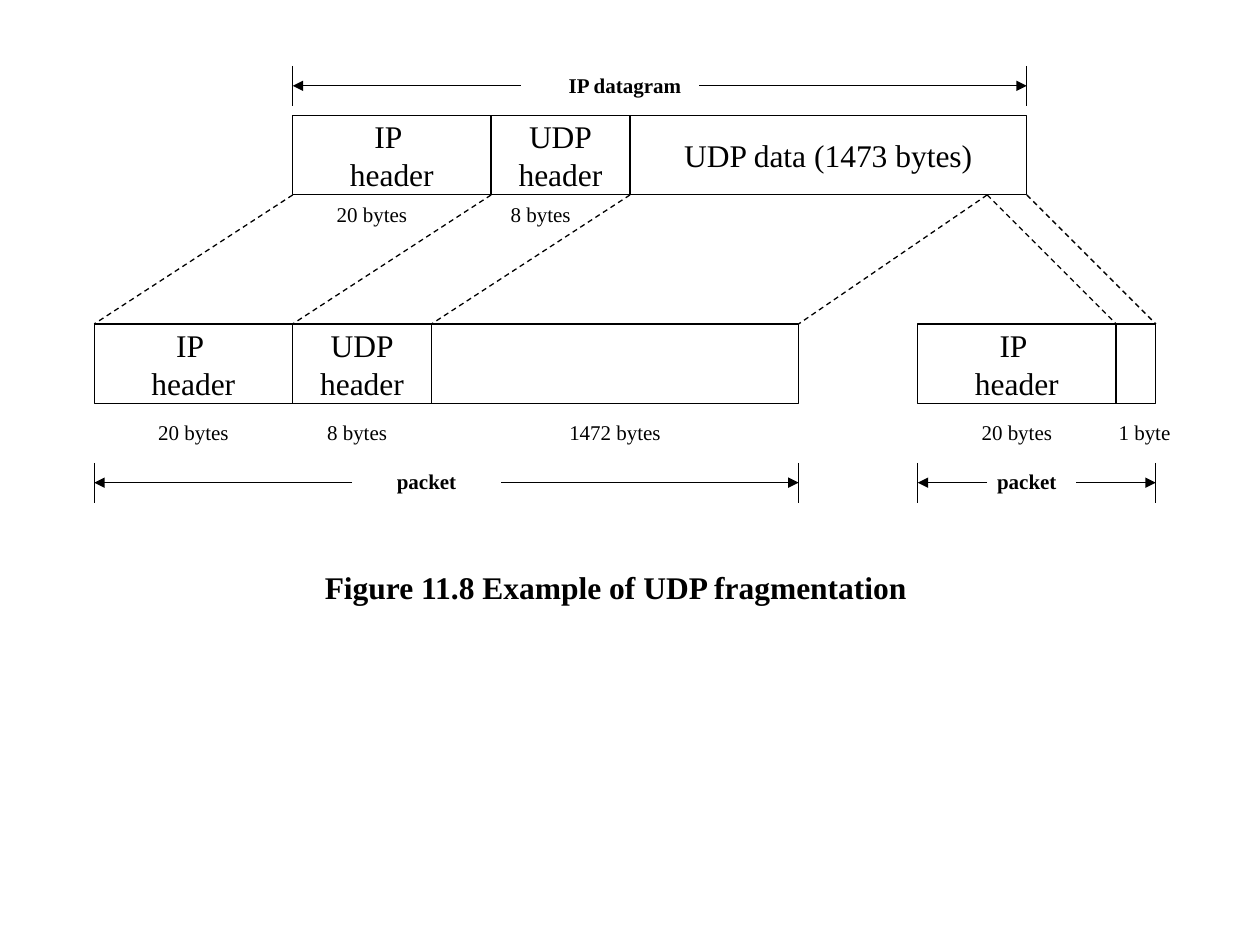
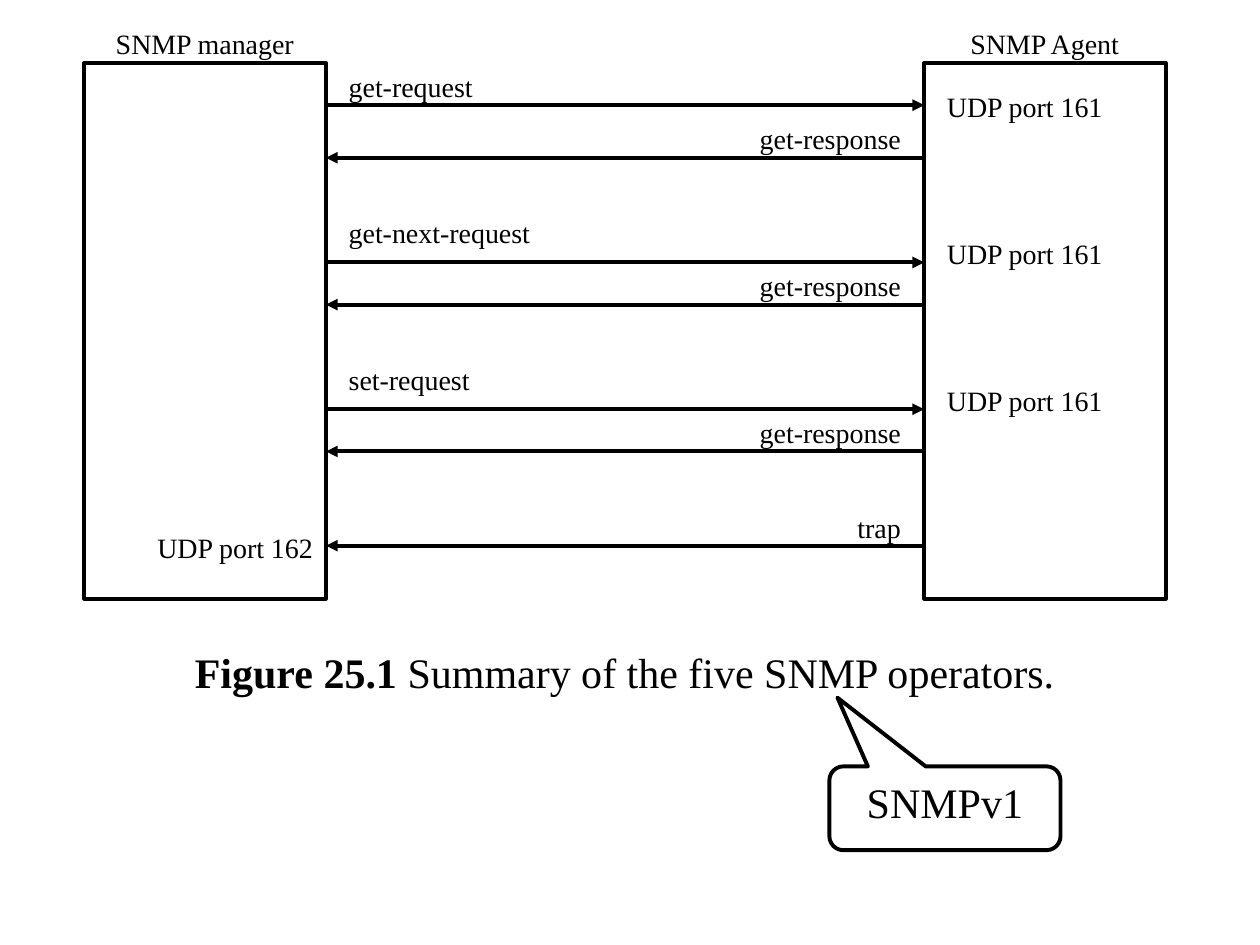
"""Build two protocol diagrams: UDP fragmentation and the SNMP operators."""
from dataclasses import dataclass

from lxml.etree import SubElement
from pptx import Presentation
from pptx.dml.color import RGBColor
from pptx.enum.dml import MSO_LINE_DASH_STYLE as Dash
from pptx.enum.shapes import MSO_CONNECTOR_TYPE as Connector, MSO_SHAPE as Shape
from pptx.enum.text import MSO_ANCHOR as Anchor, PP_ALIGN as Align
from pptx.oxml.ns import qn
from pptx.util import Cm, Pt


@dataclass(frozen=True)
class Theme:
    font: str = "Times New Roman"
    ink: RGBColor = RGBColor(0, 0, 0)
    note: int = 12
    label: int = 16
    body: int = 18
    large: int = 24
    thin: float = 0.74
    thick: float = 2.24


theme = Theme()


def block(slide, at, text="", size=theme.note, lead="", align=Align.CENTER,
          kind=None, weight=theme.thin, anchor=Anchor.TOP, wrap=True):
    """Add a text box, or an outlined shape of a kind, with an optional bold lead."""
    place = [Cm(length) for length in at]
    if kind is None:
        shape = slide.shapes.add_textbox(*place)
    else:
        shape = slide.shapes.add_shape(kind, *place)
        shape.shadow.inherit = False
        shape.fill.background()
        shape.line.color.rgb = theme.ink
        shape.line.width = Pt(weight)
    frame = shape.text_frame
    for name, value in {"word_wrap": wrap, "vertical_anchor": anchor}.items():
        setattr(frame, name, value)
    for index, line in enumerate(text.split("\n")):
        paragraph = frame.add_paragraph() if index else frame.paragraphs[0]
        paragraph.alignment = align
        for words, bold in ((lead if index == 0 else "", True), (line, False)):
            if words:
                run = paragraph.add_run()
                run.text = words
                run.font.color.rgb = theme.ink
                style = {"name": theme.font, "size": Pt(size), "bold": bold}
                for name, value in style.items():
                    setattr(run.font, name, value)
    return shape


def rule(slide, start, end, weight=theme.thin, arrow=False, dash=None):
    """Draw a straight line, dashed or with an arrowhead at its end if asked."""
    ends = [Cm(length) for length in (*start, *end)]
    line = slide.shapes.add_connector(Connector.STRAIGHT, *ends)
    line.line.color.rgb = theme.ink
    line.line.width = Pt(weight)
    if dash:
        line.line.dash_style = dash
    properties = line.element.spPr
    if arrow:
        SubElement(properties.find(qn("a:ln")), qn("a:tailEnd"), type="triangle")
    SubElement(properties, qn("a:effectLst"))


deck = Presentation()
deck.slide_width, deck.slide_height = Cm(25.4), Cm(19.05)
blank = deck.slide_layouts[6]

fragmentation = deck.slides.add_slide(blank)
datagram_top, packet_top, field_height = 2.33, 6.53, 1.6
datagram_bottom = datagram_top + field_height
note_height = 0.76

fields = [
    (5.9, datagram_top, 4, "IP \nheader"),
    (9.9, datagram_top, 2.8, "UDP\nheader"),
    (12.7, datagram_top, 8, "UDP data (1473 bytes)"),
    (1.9, packet_top, 4, "IP \nheader"),
    (5.9, packet_top, 2.8, "UDP\nheader"),
    (8.7, packet_top, 7.4, ""),
    (18.5, packet_top, 4, "IP \nheader"),
    (22.5, packet_top, 0.8, ""),
]
for left, top, width, field in fields:
    block(fragmentation, (left, top, width, field_height), field, theme.body,
          kind=Shape.RECTANGLE, anchor=Anchor.MIDDLE, wrap=False)

byte_counts = [
    (5.9, datagram_bottom, 3.2, "20 bytes", Align.CENTER),
    (9.9, datagram_bottom, 2, "8 bytes", Align.CENTER),
    (1.9, 8.33, 4, "20 bytes", Align.CENTER),
    (5.9, 8.33, 2.6, "8 bytes", Align.CENTER),
    (8.7, 8.33, 7.4, "1472 bytes", Align.CENTER),
    (18.5, 8.33, 4, "20 bytes", Align.CENTER),
    (22.3, 8.33, 1.8, "1 byte", Align.LEFT),
]
for left, top, width, count, align in byte_counts:
    block(fragmentation, (left, top, width, note_height), count, align=align)

spans = [
    ("IP datagram", 1.33, 5.9, 20.7, 10.5, 14.1, 8.9, 7.4),
    ("packet", 9.33, 1.9, 16.1, 7.1, 10.1, 4.9, 7.4),
    ("packet", 9.33, 18.5, 23.3, 19.9, 21.7, 19.1, 3.2),
]
for unit, top, left, right, gap_left, gap_right, unit_left, unit_width in spans:
    block(fragmentation, (unit_left, top, unit_width, note_height), lead=unit)
    middle = top + 0.4
    for edge, inner in ((left, gap_left), (right, gap_right)):
        rule(fragmentation, (edge, top), (edge, top + 0.8))
        rule(fragmentation, (inner, middle), (edge, middle), arrow=True)

for source, target in ((5.9, 1.9), (9.9, 5.9), (12.7, 8.7),
                       (19.9, 16.1), (19.9, 22.5), (20.7, 23.3)):
    rule(fragmentation, (source, datagram_bottom), (target, packet_top), dash=Dash.DASH)

block(fragmentation, (1.3, 11.33, 22.23, 1.02), size=theme.body,
      lead="Figure 11.8 Example of UDP fragmentation")

operators = deck.slides.add_slide(blank)
party_top, party_width, party_height = 1.27, 4.87, 10.8
manager_left, agent_left = 1.7, 18.63
manager_right = manager_left + party_width
label_width, label_height = 4.44, 0.94

for party, left in (("SNMP manager", manager_left), ("SNMP Agent", agent_left)):
    block(operators, (left, party_top, party_width, party_height),
          kind=Shape.RECTANGLE, weight=theme.thick)
    block(operators, (left + 0.21, 0.42, label_width, label_height), party, theme.label)

exchanges = [
    ("get-request", 2.12, 3.18),
    ("get-next-request", 5.29, 6.14),
    ("set-request", 8.25, 9.1),
]
messages = [("trap", 13.97, 10.16, Align.RIGHT), ("UDP port 162", 2.12, 10.58, Align.RIGHT)]
replies = [11]
for index, (request, request_y, response_y) in enumerate(exchanges):
    step = index * 2.96
    messages += [
        (request, 6.78, 1.27 + step, Align.LEFT),
        ("get-response", 13.97, 2.33 + step, Align.RIGHT),
        ("UDP port 161", 18.84, 1.69 + step, Align.LEFT),
    ]
    replies.append(response_y)
    rule(operators, (manager_right, request_y), (agent_left, request_y), theme.thick, arrow=True)
for y in replies:
    rule(operators, (agent_left, y), (manager_right, y), theme.thick, arrow=True)
for message, left, top, align in messages:
    block(operators, (left, top, label_width, label_height), message, theme.label, align=align)

block(operators, (0, 12.91, 25.4, 1.27), " Summary of the five SNMP operators. ",
      theme.large, lead="Figure 25.1")
version = block(operators, (16.72, 15.45, 4.66, 1.69), "SNMPv1", theme.large,
                kind=Shape.ROUNDED_RECTANGULAR_CALLOUT, weight=theme.thick)
for index, value in enumerate((-0.465, -1.32, 0.167)):
    version.adjustments[index] = value

deck.save("out.pptx")
